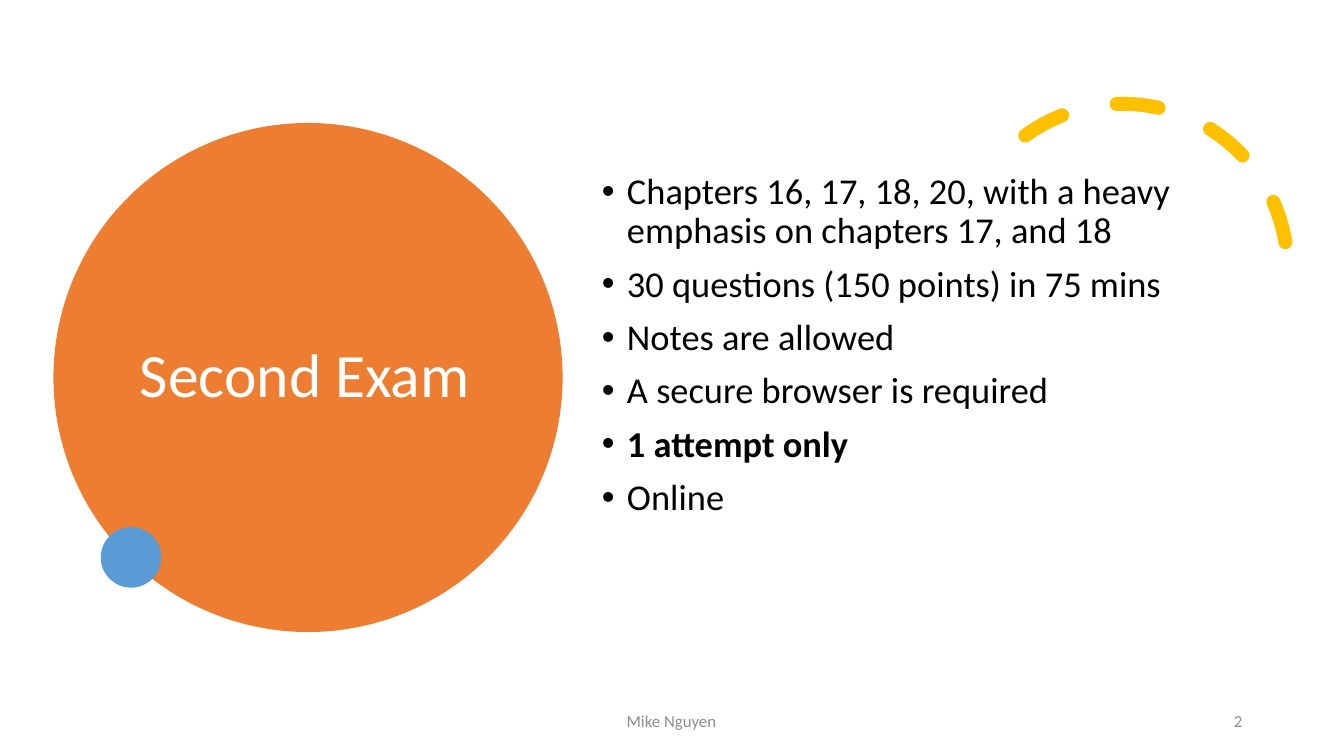
from lxml import etree
from pptx import Presentation
from pptx.dml.color import RGBColor
from pptx.enum.dml import MSO_LINE
from pptx.enum.shapes import MSO_SHAPE
from pptx.enum.text import MSO_ANCHOR, PP_ALIGN
from pptx.oxml.ns import qn
from pptx.util import Inches, Pt

OVAL, ARC = MSO_SHAPE.OVAL, MSO_SHAPE.ARC
DASH = MSO_LINE.DASH
TOP, MIDDLE = MSO_ANCHOR.TOP, MSO_ANCHOR.MIDDLE
LEFT, CENTER, RIGHT = PP_ALIGN.LEFT, PP_ALIGN.CENTER, PP_ALIGN.RIGHT

ORANGE = RGBColor(0xED, 0x7D, 0x31)
BLUE = RGBColor(0x5B, 0x9B, 0xD5)
GOLD = RGBColor(0xFF, 0xC0, 0x00)
GRAY = RGBColor(0x8C, 0x8C, 0x8C)
WHITE = RGBColor(0xFF, 0xFF, 0xFF)
BLACK = RGBColor(0, 0, 0)

FONT = "Calibri"
WIDE, HIGH = 13.33, 7.5
TITLE = "Second Exam"
KEY = "1 attempt only"
POINTS = [
    "Chapters 16, 17, 18, 20, with a heavy emphasis on chapters 17, and 18",
    "30 questions (150 points) in 75 mins",
    "Notes are allowed",
    "A secure browser is required",
    KEY,
    "Online",
]


def part(box, x, y, w, h):
    """Return the part of a box given as shares of its width and height."""
    left, top, wide, high = box
    return left + x * wide, top + y * high, w * wide, h * high


def add_text(slide, box, lines, size, color, align=LEFT, anchor=MIDDLE):
    frame = slide.shapes.add_textbox(*map(Inches, box)).text_frame
    frame.word_wrap = True
    frame.vertical_anchor = anchor
    frame.text = "\n".join(lines)
    for para in frame.paragraphs:
        para.alignment = align
        para.font.name = FONT
        para.font.size = Pt(size)
        para.font.color.rgb = color
    return frame.paragraphs


def add_disc(slide, box, color):
    disc = slide.shapes.add_shape(OVAL, *map(Inches, box))
    disc.shadow.inherit = False
    disc.fill.solid()
    disc.fill.fore_color.rgb = color
    disc.line.fill.background()


def add_badge(slide, box):
    """Draw the large disc with its title and the small disc on its rim."""
    add_disc(slide, box, ORANGE)
    title = add_text(slide, part(box, 0.15, 0.06, 0.7, 0.88), [TITLE], 44, WHITE)
    title[0].line_spacing = 0.9
    add_disc(slide, part(box, 0.093, 0.794, 0.119, 0.119), BLUE)


def add_arc(slide, box):
    arc = slide.shapes.add_shape(ARC, *map(Inches, box))
    arc.shadow.inherit = False
    arc.adjustments[0] = 158.17
    arc.adjustments[1] = 17.81
    arc.rotation = 330.2
    arc.fill.background()
    arc.line.color.rgb = GOLD
    arc.line.width = Pt(10)
    arc.line.dash_style = DASH
    arc.line._get_or_add_ln().set("cap", "rnd")


def add_points(slide, box):
    paras = add_text(slide, box, POINTS, 26, BLACK, anchor=TOP)
    for i, para in enumerate(paras):
        para.line_spacing = 0.9
        para.space_before = Pt(10 if i else 0)
        para.font.bold = para.text == KEY
        props = para._p.get_or_add_pPr()
        props.set("marL", str(Inches(0.25)))
        props.set("indent", str(Inches(-0.25)))
        face = etree.Element(qn("a:buFont"), typeface="Arial")
        mark = etree.Element(qn("a:buChar"), char="•")
        rest = props.find(qn("a:defRPr"))
        rest.addprevious(face)
        rest.addprevious(mark)


def add_footer(slide, box):
    add_text(slide, part(box, 0, 0, 0.56, 1), ["Mike Nguyen"], 12, GRAY, CENTER)
    add_text(slide, part(box, 0.62, 0, 0.38, 1), ["2"], 12, GRAY, RIGHT)


def main():
    deck = Presentation()
    deck.slide_width, deck.slide_height = Inches(WIDE), Inches(HIGH)
    slide = deck.slides.add_slide(deck.slide_layouts[6])
    add_arc(slide, (9.5, 1.03, 3.27, 3.27))
    add_badge(slide, (0.53, 1.22, 5.05, 5.05))
    add_points(slide, (5.87, 1.67, 6.05, 4.3))
    add_footer(slide, (4.42, 6.95, 8, 0.4))
    deck.save("out.pptx")


if __name__ == "__main__":
    main()
